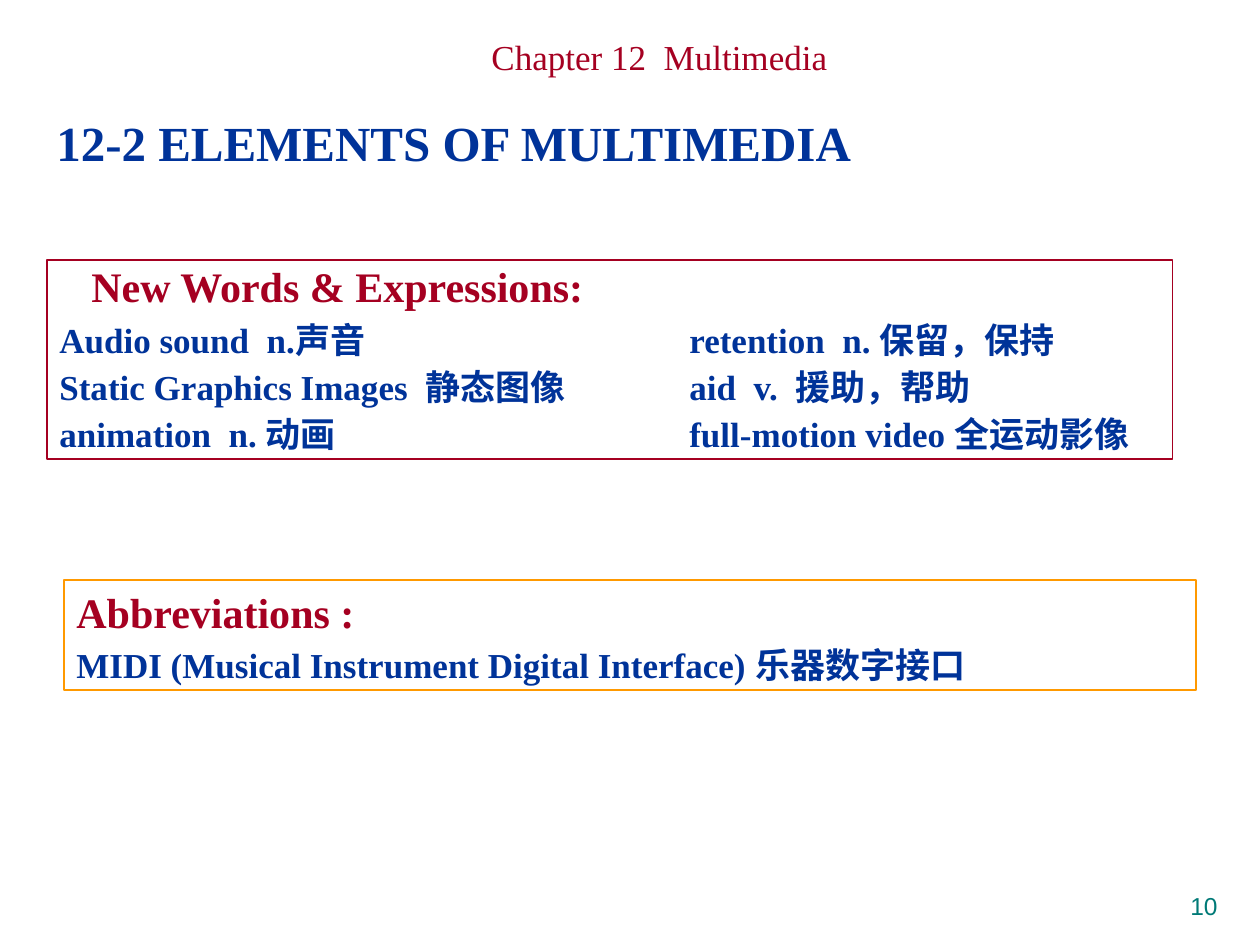
from lxml import etree
from pptx import Presentation
from pptx.dml.color import RGBColor
from pptx.enum.shapes import MSO_SHAPE
from pptx.enum.text import MSO_ANCHOR, PP_ALIGN
from pptx.oxml.ns import qn
from pptx.util import Pt

RECTANGLE = MSO_SHAPE.RECTANGLE
TOP = MSO_ANCHOR.TOP
LEFT, CENTER, RIGHT, JUSTIFY = PP_ALIGN.LEFT, PP_ALIGN.CENTER, PP_ALIGN.RIGHT, PP_ALIGN.JUSTIFY
CRIMSON = RGBColor(0xA5, 0x00, 0x21)
NAVY = RGBColor(0x00, 0x33, 0x99)
ORANGE = RGBColor(0xFF, 0x99, 0x00)
TEAL = RGBColor(0x00, 0x7A, 0x77)
SERIF, SANS, CHINESE = "Times New Roman", "Arial", "Noto Sans CJK SC"
EMU_PER_PIXEL = 914400 // 126
COLUMN_TAB = 630
HEADING_INDENT = 32

STYLES = {
    "chapter": dict(size=20, color=CRIMSON, align=CENTER),
    "title": dict(size=28, color=NAVY, bold=True),
    "words": dict(size=24, color=CRIMSON, bold=True, spacing=0.9, indent=HEADING_INDENT),
    "abbreviations": dict(size=24, color=CRIMSON, bold=True, align=JUSTIFY),
    "entry": dict(size=20, color=NAVY, bold=True, align=JUSTIFY, spacing=0.6, before=12.5),
    "number": dict(size=14, color=TEAL, align=RIGHT, font=SANS),
}

BLOCKS = [
    ((212, 29, 895, 68), None, [("chapter", "Chapter 12  Multimedia")]),
    ((47, 260, 1126, 199), CRIMSON, [
        ("words", "New Words & Expressions:"),
        ("entry", "Audio sound  n.声音\tretention  n. 保留，保持"),
        ("entry", "Static Graphics Images  静态图像\taid  v.  援助，帮助"),
        ("entry", "animation  n. 动画\tfull-motion video 全运动影像"),
    ]),
    ((44, 106, 1081, 72), None, [("title", "12-2 ELEMENTS OF MULTIMEDIA")]),
    ((64, 580, 1132, 110), ORANGE, [
        ("abbreviations", "Abbreviations :"),
        ("entry", "MIDI (Musical Instrument Digital Interface) 乐器数字接口"),
    ]),
    ((915, 885, 315, 39), None, [("number", "10")]),
]


def px(value):
    return value * EMU_PER_PIXEL


def write_paragraph(para, text, size, color, bold=False, align=LEFT, spacing=1.0,
                    before=0, indent=0, font=SERIF):
    para.alignment = align
    para.line_spacing = spacing
    para.space_before = Pt(before)
    properties = para._p.get_or_add_pPr()
    properties.set("marL", str(px(indent)))
    if "\t" in text:
        tabs = etree.SubElement(properties, qn("a:tabLst"))
        etree.SubElement(tabs, qn("a:tab"), pos=str(px(COLUMN_TAB)), algn="l")
    para.font.size = Pt(size)
    para.font.bold = bold
    para.font.color.rgb = color
    para.font.name = font
    etree.SubElement(properties.find(qn("a:defRPr")), qn("a:ea"), typeface=CHINESE)
    para.add_run().text = text


def add_block(page, bounds, outline, lines):
    place = [px(value) for value in bounds]
    if outline is None:
        box = page.shapes.add_textbox(*place)
    else:
        box = page.shapes.add_shape(RECTANGLE, *place)
        box.shadow.inherit = False
        box.fill.background()
        box.line.color.rgb = outline
        box.line.width = Pt(0.74)
    frame = box.text_frame
    frame.word_wrap = True
    frame.vertical_anchor = TOP
    for index, (style, text) in enumerate(lines):
        para = frame.add_paragraph() if index else frame.paragraphs[0]
        write_paragraph(para, text, **STYLES[style])


deck = Presentation()
deck.slide_width, deck.slide_height = px(1260), px(945)
page = deck.slides.add_slide(deck.slide_layouts[6])
for block in BLOCKS:
    add_block(page, *block)
deck.save("out.pptx")
